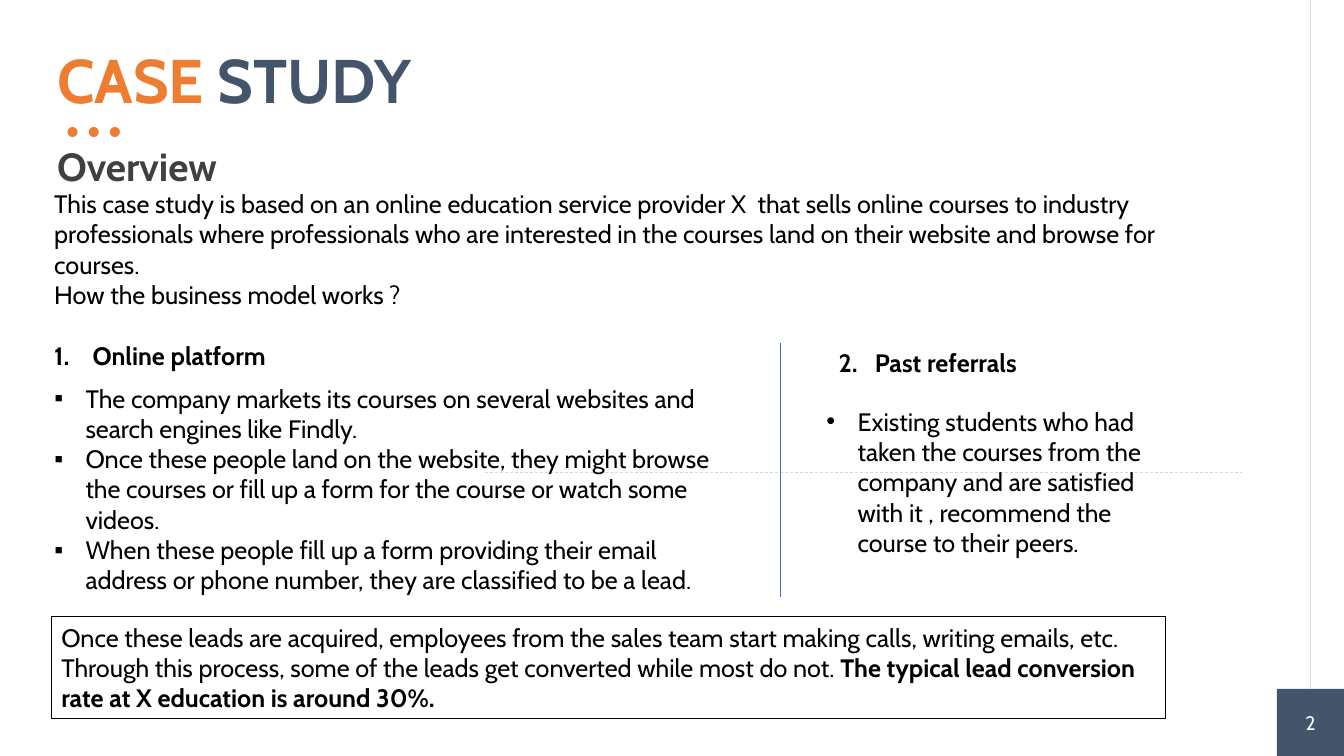
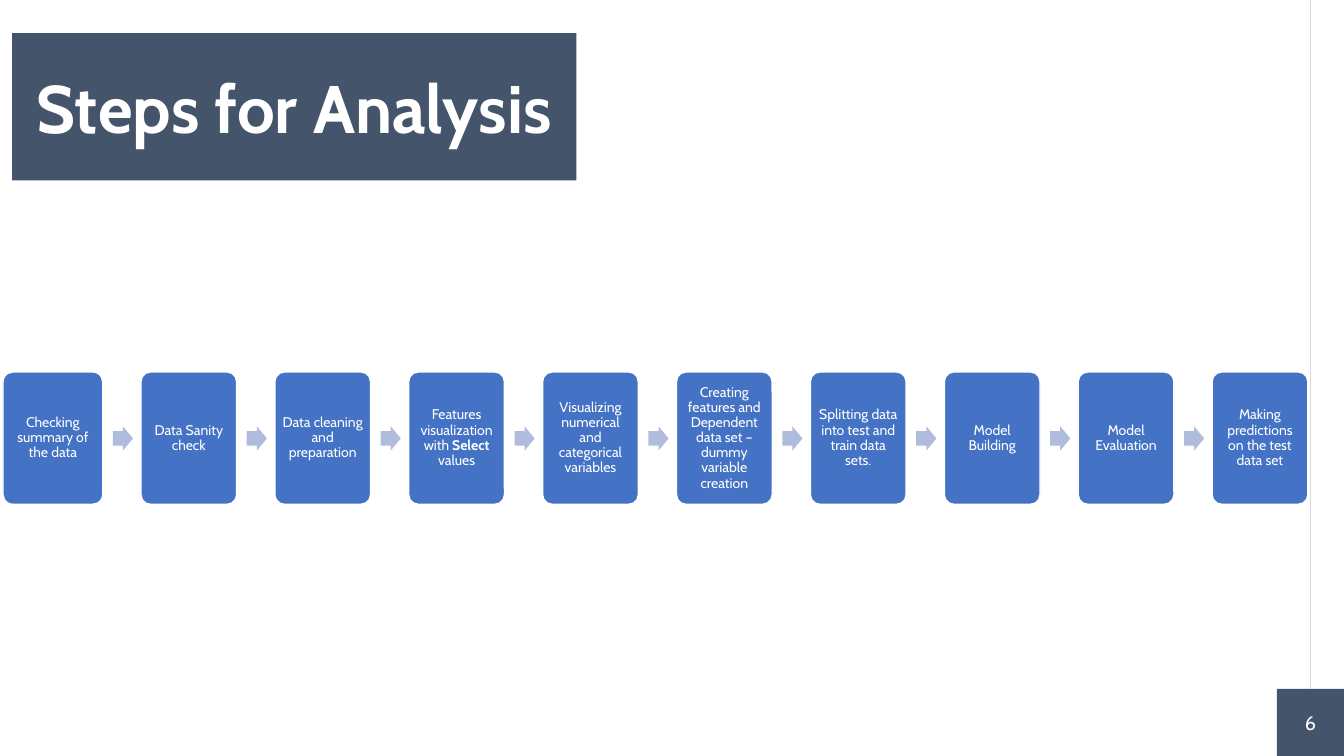
"""Build two case study slides: the business overview and the steps for analysis."""
from dataclasses import dataclass

from lxml import etree
from pptx import Presentation
from pptx import util as u
from pptx.dml.color import RGBColor
from pptx.enum import dml, shapes, text
from pptx.oxml.ns import qn


@dataclass(frozen=True)
class Theme:
    font: str = "Cabin"
    bullet_font: str = "Arial"
    navy: str = "44546A"
    orange: str = "ED7D31"
    blue: str = "4472C4"
    pale_blue: str = "B0BCDE"
    rule: str = "D9D9D9"
    dark: str = "404040"
    black: str = "000000"
    white: str = "FFFFFF"
    banner: int = 48
    title: int = 44
    heading: int = 28
    body: int = 18
    number: int = 14
    step: int = 10


theme = Theme()
KIND = shapes.MSO_SHAPE
CENTER = text.PP_ALIGN.CENTER
MIDDLE = text.MSO_ANCHOR.MIDDLE
COLUMNS, ROWS = 80, 45

deck = Presentation()
deck.slide_width = u.Inches(13.33)
deck.slide_height = u.Inches(7.5)
column = deck.slide_width / COLUMNS
row = deck.slide_height / ROWS


def draw(page, kind, cells, fill=None, line=None, weight=1, inset=None, anchor=text.MSO_ANCHOR.TOP):
    """Add a shape, or a text box if kind is None, at left, top, width, height in grid cells."""
    place = [int(cell * size) for cell, size in zip(cells, (column, row, column, row))]
    if kind is None:
        box = page.shapes.add_textbox(*place)
    else:
        box = page.shapes.add_shape(kind, *place)
        box.shadow.inherit = False
        for paint, color in ((box.fill, fill), (box.line.fill, line)):
            if color:
                paint.solid()
                paint.fore_color.rgb = RGBColor.from_string(color)
            else:
                paint.background()
        if line:
            box.line.width = u.Pt(weight)
    frame = box.text_frame
    frame.word_wrap = True
    frame.vertical_anchor = anchor
    if inset is not None:
        frame.margin_left = frame.margin_top = frame.margin_right = frame.margin_bottom = u.Inches(inset)
    return box


def write(box, spans, size, color, bold=False, align=None, bullet=None, indent=0.31, start=1, **spacing):
    """Add a paragraph of (text, font overrides) spans, with a bullet sign or "number" if given."""
    frame = box.text_frame
    para = frame.add_paragraph() if frame.text else frame.paragraphs[0]
    if bullet:
        props = para._p.get_or_add_pPr()
        props.set("marL", str(u.Inches(indent)))
        props.set("indent", str(-u.Inches(indent)))
        if bullet == "number":
            etree.SubElement(props, qn("a:buAutoNum"), type="arabicPeriod", startAt=str(start))
        else:
            etree.SubElement(props, qn("a:buFont"), typeface=theme.bullet_font)
            etree.SubElement(props, qn("a:buChar"), char=bullet)
    para.alignment = align
    for name, value in spacing.items():
        setattr(para, name, value)
    para.font.name = theme.font
    para.font.size = u.Pt(size)
    para.font.bold = bold
    para.font.color.rgb = RGBColor.from_string(color)
    for words, changes in spans:
        span = para.add_run()
        span.text = words
        if "bold" in changes:
            span.font.bold = changes["bold"]
        if "color" in changes:
            span.font.color.rgb = RGBColor.from_string(changes["color"])


blank = deck.slide_layouts[6]
overview, steps = pages = [deck.slides.add_slide(blank) for _ in range(2)]
lines = [
    (overview, (28.86, 28.14, 73.92, 28.14), theme.rule, dml.MSO_LINE.DASH, None),
    (overview, (46.44, 20.4, 46.44, 35.52), theme.blue, None, None),
]
for page, number in zip(pages, ("2", "6")):
    corner = draw(page, KIND.RECTANGLE, (76, 41, 4, 4), theme.navy, inset=0, anchor=MIDDLE)
    write(corner, [(number, {})], theme.number, theme.white, align=CENTER)
    lines.append((page, (78, 0, 78, 41), theme.rule, None, corner))

for page, (x1, y1, x2, y2), color, dash, target in lines:
    line = page.shapes.add_connector(
        shapes.MSO_CONNECTOR.STRAIGHT, int(x1 * column), int(y1 * row), int(x2 * column), int(y2 * row))
    line.line.width = u.Pt(0.5)
    line.line.color.rgb = RGBColor.from_string(color)
    if dash:
        line.line.dash_style = dash
    if target:
        line.end_connect(target, 0)
    etree.SubElement(line._element.spPr, qn("a:effectLst"))

title = draw(overview, None, (3.4, 3, 69.9, 4), inset=0)
write(title, [("CASE", {"color": theme.orange}), (" STUDY", {})],
      theme.title, theme.navy, bold=True, line_spacing=0.9)
for dot in range(3):
    draw(overview, KIND.OVAL, (4.02 + 1.26 * dot, 7.56, 0.6, 0.6), theme.orange)
heading = draw(overview, None, (3.4, 8.46, 69.9, 2.82), inset=0)
write(heading, [("Overview", {})], theme.heading, theme.dark, bold=True)

intro = draw(overview, None, (2.64, 10.92, 72, 13.32))
for sentence in (
    "This case study is based on an online education service provider X  that sells online courses to industry "
    "professionals where professionals who are interested in the courses land on their website and browse for courses.",
    "How the business model works ?",
):
    write(intro, [(sentence, {})], theme.body, theme.black)
write(intro, [("Online platform", {})], theme.body, theme.black, bold=True,
      bullet="number", indent=0.38, space_before=u.Pt(21.9))

platform = draw(overview, None, (2.64, 22.5, 41.82, 15.12))
for point in (
    "The company markets its courses on several websites and search engines like Findly.",
    "Once these people land on the website, they might browse the courses or fill up a form for the course "
    "or watch some videos.",
    "When these people fill up a form providing their email address or phone number, "
    "they are classified to be a lead.",
):
    write(platform, [(point, {})], theme.body, theme.black, bullet="▪")

referrals = draw(overview, None, (49.32, 20.4, 21.06, 2.4))
write(referrals, [("Past referrals", {})], theme.body, theme.black, bold=True,
      bullet="number", indent=0.36, start=2)
peers = draw(overview, None, (48.6, 23.88, 21.54, 9.72))
write(peers, [("Existing students who had taken the courses from the company and are satisfied with it , "
               "recommend the course to their peers.", {})], theme.body, theme.black, bullet="•")

summary = draw(overview, KIND.RECTANGLE, (3.06, 36.72, 66.3, 6.06), line=theme.black, weight=0.75)
write(summary, [
    ("Once these leads are acquired, employees from the sales team start making calls, writing emails, etc. "
     "Through this process, some of the leads get converted while most do not. ", {}),
    ("The typical lead conversion rate at X education is around 30%.", {"bold": True}),
], theme.body, theme.black, align=text.PP_ALIGN.LEFT)

banner = draw(steps, KIND.RECTANGLE, (0.72, 1.98, 33.6, 8.76), theme.navy, anchor=MIDDLE)
write(banner, [("Steps for Analysis", {})], theme.banner, theme.white, bold=True, align=CENTER)

STEPS = [
    [("Checking summary of the data", {})],
    [("Data Sanity check", {})],
    [("Data cleaning and preparation", {})],
    [("Features visualization with ", {}), ("Select", {"bold": True}), (" values", {})],
    [("Visualizing numerical and categorical variables", {})],
    [("Creating features and Dependent data set – dummy variable creation", {})],
    [("Splitting data into test and train data sets.", {})],
    [("Model Building", {})],
    [("Model Evaluation", {})],
    [("Making predictions on the test data set", {})],
]
PITCH = 7.97
for index, spans in enumerate(STEPS):
    width = 5.7 if index else 5.94
    right = 6.12 + PITCH * index
    card = draw(steps, KIND.ROUNDED_RECTANGLE, (right - width, 22.14, width, 7.88),
                theme.blue, theme.white, inset=0.04, anchor=MIDDLE)
    card.adjustments[0] = 0.1
    write(card, spans, theme.step, theme.white, align=CENTER, line_spacing=0.9)
    if index < len(STEPS) - 1:
        arrow = draw(steps, KIND.RIGHT_ARROW, (right + 0.6, 25.38, 1.2, 1.44), theme.pale_blue)
        arrow.adjustments[0] = 0.6

deck.save("out.pptx")
